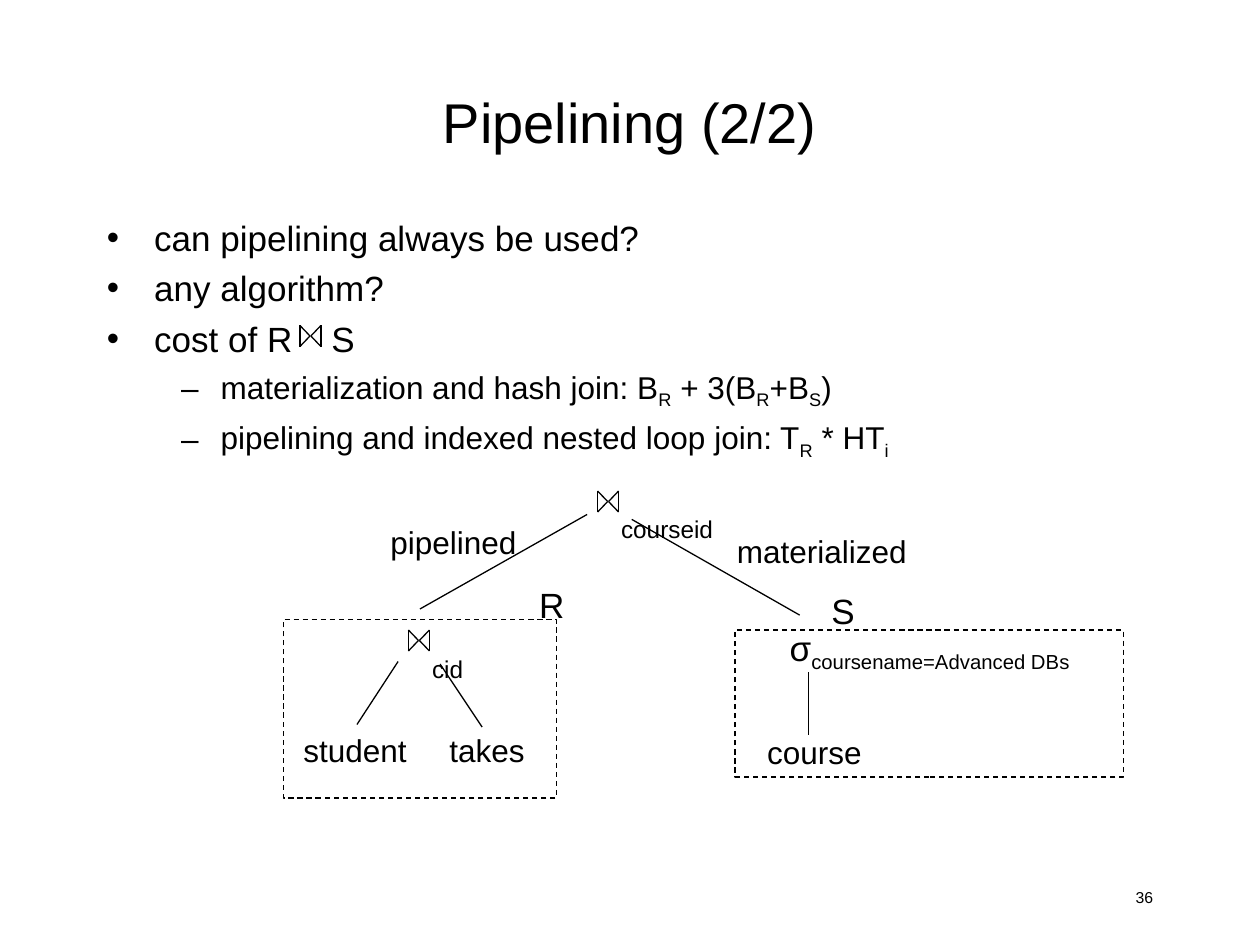
from lxml.etree import SubElement
from pptx import Presentation
from pptx.dml.color import RGBColor
from pptx.enum.dml import MSO_LINE
from pptx.enum.shapes import MSO_CONNECTOR, MSO_SHAPE
from pptx.enum.text import MSO_ANCHOR, PP_ALIGN
from pptx.oxml.ns import qn
from pptx.util import Pt

BLACK = RGBColor(0, 0, 0)
FONT = "Arial"
BULLETS = {0: ("•", 27, -27), 1: ("–", 65, -22.5)}


def set_attrs(obj, values):
    """Set each named attribute on an object."""
    for name, value in values.items():
        setattr(obj, name, value)


def add_run(p, text, size, sub=False, spacing=None):
    """Add a run, optionally as a subscript or with wider letter spacing."""
    r = p.add_run()
    r.text = text
    set_attrs(r.font, {"name": FONT, "size": Pt(size)})
    r.font.color.rgb = BLACK
    rPr = r._r.get_or_add_rPr()
    if sub:
        rPr.set("baseline", "-25000")
    if spacing:
        rPr.set("spc", str(round(spacing * 100)))


def add_text(s, box, runs, wrap=False, anchor=MSO_ANCHOR.TOP, **para):
    """Add a one-paragraph text box; runs are add_run argument tuples."""
    tf = s.shapes.add_textbox(*map(Pt, box)).text_frame
    set_attrs(tf, {"word_wrap": wrap, "vertical_anchor": anchor})
    p = tf.paragraphs[0]
    set_attrs(p, para)
    for run in runs:
        add_run(p, *run)


def add_bullets(s, box, items):
    """Add a bulleted list of (level, size, space before, runs)."""
    tf = s.shapes.add_textbox(*map(Pt, box)).text_frame
    tf.word_wrap = True
    for i, (level, size, before, runs) in enumerate(items):
        p = tf.add_paragraph() if i else tf.paragraphs[0]
        set_attrs(p, {"level": level, "space_before": Pt(before)})
        char, margin, indent = BULLETS[level]
        pPr = p._p.get_or_add_pPr()
        pPr.set("marL", str(Pt(margin)))
        pPr.set("indent", str(Pt(indent)))
        SubElement(pPr, qn("a:buFont")).set("typeface", FONT)
        SubElement(pPr, qn("a:buChar")).set("char", char)
        for text, *style in runs:
            add_run(p, text, size, *style)


def add_line(shapes, x1, y1, x2, y2):
    """Add a thin black line without a shadow."""
    sp = shapes.add_connector(MSO_CONNECTOR.STRAIGHT, *map(Pt, (x1, y1, x2, y2)))
    sp.line.width = Pt(0.75)
    sp.line.color.rgb = BLACK
    SubElement(sp._element.spPr, qn("a:effectLst"))


def add_join(s, x, y, size=12):
    """Add a grouped join symbol: two open triangles facing each other."""
    shapes = s.shapes.add_group_shape().shapes
    mid = y + size / 2
    for side, tip in ((x, x + 5.75), (x + size, x + 6.25)):
        add_line(shapes, side, y, side, y + size)
        for end in (y, y + size):
            add_line(shapes, side, end, tip, mid)


def add_dashed_box(s, *box):
    """Add an unfilled rectangle with a dashed outline."""
    sp = s.shapes.add_shape(MSO_SHAPE.RECTANGLE, *map(Pt, box))
    sp.shadow.inherit = False
    sp.fill.background()
    sp.line.color.rgb = BLACK
    set_attrs(sp.line, {"width": Pt(0.75), "dash_style": MSO_LINE.DASH})


def main():
    """Build the slide."""
    prs = Presentation()
    set_attrs(prs, {"slide_width": Pt(720), "slide_height": Pt(540)})
    s = prs.slides.add_slide(prs.slide_layouts[6])

    add_text(s, (516, 504, 150, 24), [("36", 9)], True, alignment=PP_ALIGN.RIGHT)
    add_text(s, (54, 24, 612, 90), [("Pipelining (2/2)", 32)], True,
             MSO_ANCHOR.MIDDLE, alignment=PP_ALIGN.CENTER)
    add_bullets(s, (54, 120, 612, 372), [
        (0, 20, 5, [("can pipelining always be used?",)]),
        (0, 20, 5, [("any algorithm?",)]),
        (0, 20, 5, [("cost of R",), (" ", False, 16.7), ("S",)]),
        (1, 18, 4.5, [("materialization and hash join: B",), ("R", True),
                      (" + 3(B",), ("R", True), ("+B",), ("S", True), (")",)]),
        (1, 18, 4.5, [("pipelining and indexed nested loop join: T",),
                      ("R", True), (" * HT",), ("i", True)]),
    ])

    for x, y in ((171.4, 186), (341.5, 280.6), (233.4, 360)):
        add_join(s, x, y)
    for ends in ((240, 348, 335.5, 294), (457, 351.5, 361, 296.8),
                 (227.5, 378, 204, 414), (251.5, 379.5, 275.5, 415.5),
                 (462, 420, 462, 384)):
        add_line(s.shapes, *ends)
    for box in ((162, 354, 156, 102), (420, 360, 222, 84)):
        add_dashed_box(s, *box)

    for x, y, width, text, size in (
            (216, 295.2, 86.4, "pipelined", 18),
            (414, 300.2, 111.6, "materialized", 18),
            (166.3, 414, 73.4, "student", 18),
            (249.8, 414, 57.6, "takes", 18),
            (431.3, 415.4, 68.4, "course", 18),
            (301, 329.8, 28.8, "R", 20),
            (468, 333.4, 28, "S", 20)):
        add_text(s, (x, y, width, 29), [(text, size)])
    add_text(s, (347.8, 274.3, 170, 26.6), [("courseid", 24, True)], True)
    add_text(s, (239.8, 354.2, 35.3, 26.6), [("cid", 24, True)])
    add_text(s, (444.2, 354.2, 216, 31),
             [("σ", 20), ("coursename=Advanced DBs", 20, True)], True,
             space_before=Pt(4))

    prs.save("out.pptx")


main()
